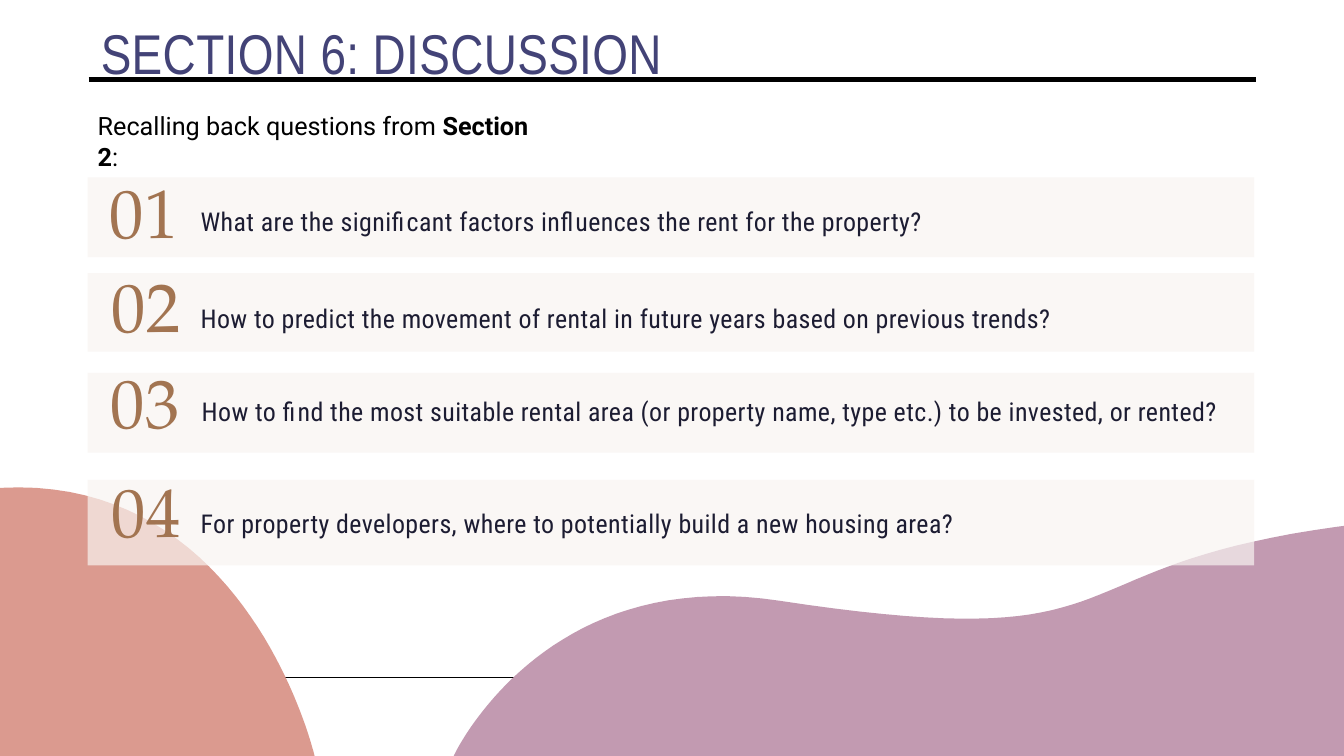
from lxml.etree import SubElement
from pptx import Presentation
from pptx.dml.color import RGBColor
from pptx.enum.shapes import MSO_CONNECTOR, MSO_SHAPE
from pptx.enum.text import MSO_ANCHOR, PP_ALIGN
from pptx.oxml.ns import qn
from pptx.util import Inches, Pt

BLACK = RGBColor(0x00, 0x00, 0x00)
INDIGO = RGBColor(0x43, 0x43, 0x77)
NAVY = RGBColor(0x1C, 0x1C, 0x32)
BRONZE = RGBColor(0xA2, 0x74, 0x51)
CREAM = RGBColor(0xF8, 0xF4, 0xF1)
MAUVE = RGBColor(0xC2, 0x9A, 0xB1)
CORAL = RGBColor(0xDB, 0x9A, 0x8F)

TITLE = "SECTION 6: DISCUSSION"
INTRO = [("Recalling back questions from ", False), ("Section 2", True), (":", False)]
QUESTIONS = [
    {"text": "What are the significant factors influences the rent for the property?",
     "band": (1.76, 0.79), "box": (1.86, 1.91, 9.11, 0.55), "number": (0.66, 1.7)},
    {"text": "How\u00a0to predict the movement of rental in future years based on previous trends?".replace("\u00a0", " "),
     "band": (2.71, 0.78), "box": (1.86, 2.87, 9.11, 0.42), "number": (0.68, 2.64)},
    {"text": "How to find the most suitable rental area (or property name, type etc.) to be invested, or rented?",
     "band": (3.7, 0.79), "box": (1.87, 3.79, 10.59, 1.1), "number": (0.67, 3.59)},
    {"text": "For property developers, where to potentially build a new housing area?",
     "band": (4.76, 0.85), "box": (1.86, 4.91, 9.78, 1.1), "number": (0.68, 4.67)},
]
RULES = [(0.79, 3.5), (6.72, 1)]
WAVES = [
    (MAUVE, [((4.5, 7.5), (4.5, 7.5), (5.38, 5.6), (7.73, 5.96)),
             ((7.73, 5.96), (11.68, 6.56), (10.13, 5.48), (14.04, 5.14))],
     [(14.04, 7.5)]),
    (CORAL, [((3.12, 7.5), (3.12, 7.5), (2.47, 4.7), (0, 4.84))], [(0, 7.5)]),
]
LEFT, RIGHT, BAND_WIDTH = 0.87, 12.46, 11.57
NUMBER_SIZE = (1.21, 0.78)
CURVE_STEPS = 40
UNITS = 1000


def bezier(curve, t):
    weights = ((1 - t) ** 3, 3 * t * (1 - t) ** 2, 3 * t * t * (1 - t), t ** 3)
    return tuple(sum(w * p[axis] for w, p in zip(weights, curve)) for axis in (0, 1))


def draw_wave(shapes, color, curves, corners):
    points = [curves[0][0]]
    for curve in curves:
        points += [bezier(curve, i / CURVE_STEPS) for i in range(1, CURVE_STEPS + 1)]
    scaled = [(round(x * UNITS), round(y * UNITS)) for x, y in points + corners]
    builder = shapes.build_freeform(*scaled[0], scale=Inches(1) / UNITS)
    builder.add_line_segments(scaled[1:], close=True)
    wave = builder.convert_to_shape()
    wave.shadow.inherit = False
    wave.fill.solid()
    wave.fill.fore_color.rgb = color
    wave.line.fill.background()


def draw_rule(shapes, y, weight):
    rule = shapes.add_connector(MSO_CONNECTOR.STRAIGHT, Inches(LEFT + 0.01), Inches(y),
                                Inches(RIGHT), Inches(y))
    rule.line.color.rgb = BLACK
    rule.line.width = Pt(weight)
    SubElement(rule._element.spPr, qn("a:effectLst"))


def draw_band(shapes, top, height):
    band = shapes.add_shape(MSO_SHAPE.RECTANGLE, Inches(LEFT), Inches(top),
                            Inches(BAND_WIDTH), Inches(height))
    band.shadow.inherit = False
    band.fill.solid()
    band.fill.fore_color.rgb = CREAM
    band.line.fill.background()
    tint = band._element.spPr.find(qn("a:solidFill"))[0]
    SubElement(tint, qn("a:alpha"), val="69000")


def place(shape, left, top, width, height):
    shape.left, shape.top = Inches(left), Inches(top)
    shape.width, shape.height = Inches(width), Inches(height)


def write(shape, runs, font, size, color, inset=0.13, anchor=MSO_ANCHOR.TOP,
          align=PP_ALIGN.LEFT, spacing=30):
    frame = shape.text_frame
    frame.word_wrap = True
    frame.vertical_anchor = anchor
    frame.margin_left = frame.margin_right = Inches(inset)
    frame.margin_top = frame.margin_bottom = Inches(min(inset, 0.13))
    paragraph = frame.paragraphs[0]
    paragraph.alignment = align
    paragraph.font.name = font
    paragraph.font.size = Pt(size)
    paragraph.font.color.rgb = color
    for text, bold in runs:
        run = paragraph.add_run()
        run.text = text
        if bold:
            run.font.bold = True
        if spacing:
            run._r.get_or_add_rPr().set("spc", str(spacing))


def add_text(shapes, box, *args, **kwargs):
    text_box = shapes.add_textbox(*(Inches(v) for v in box))
    write(text_box, *args, **kwargs)
    return text_box


def main():
    deck = Presentation()
    deck.slide_width, deck.slide_height = Inches(13.33), Inches(7.5)
    slide = deck.slides.add_slide(deck.slide_layouts[5])
    shapes = slide.shapes

    for y, weight in RULES:
        draw_rule(shapes, y, weight)
    for wave in WAVES:
        draw_wave(shapes, *wave)
    for question in QUESTIONS:
        draw_band(shapes, *question["band"])
    for index, question in enumerate(QUESTIONS, 1):
        add_text(shapes, question["box"], [(question["text"], False)],
                 "Roboto Condensed", 18.5, NAVY)
        add_text(shapes, question["number"] + NUMBER_SIZE, [(f"{index:02d}", False)],
                 "TeX Gyre Pagella", 49, BRONZE, inset=0.1,
                 anchor=MSO_ANCHOR.MIDDLE, align=PP_ALIGN.RIGHT)

    place(shapes.title, LEFT, 0.13, RIGHT - LEFT, 0.77)
    write(shapes.title, [(TITLE, False)], "Arial Narrow", 40, INDIGO,
          anchor=MSO_ANCHOR.MIDDLE)
    intro = add_text(shapes, (LEFT, 1.05, 4.55, 0.4), INTRO, "Roboto", 18, BLACK,
                     inset=0.1, spacing=0)
    intro.text_frame.margin_top = intro.text_frame.margin_bottom = Inches(0.05)
    deck.save("out.pptx")


if __name__ == "__main__":
    main()
